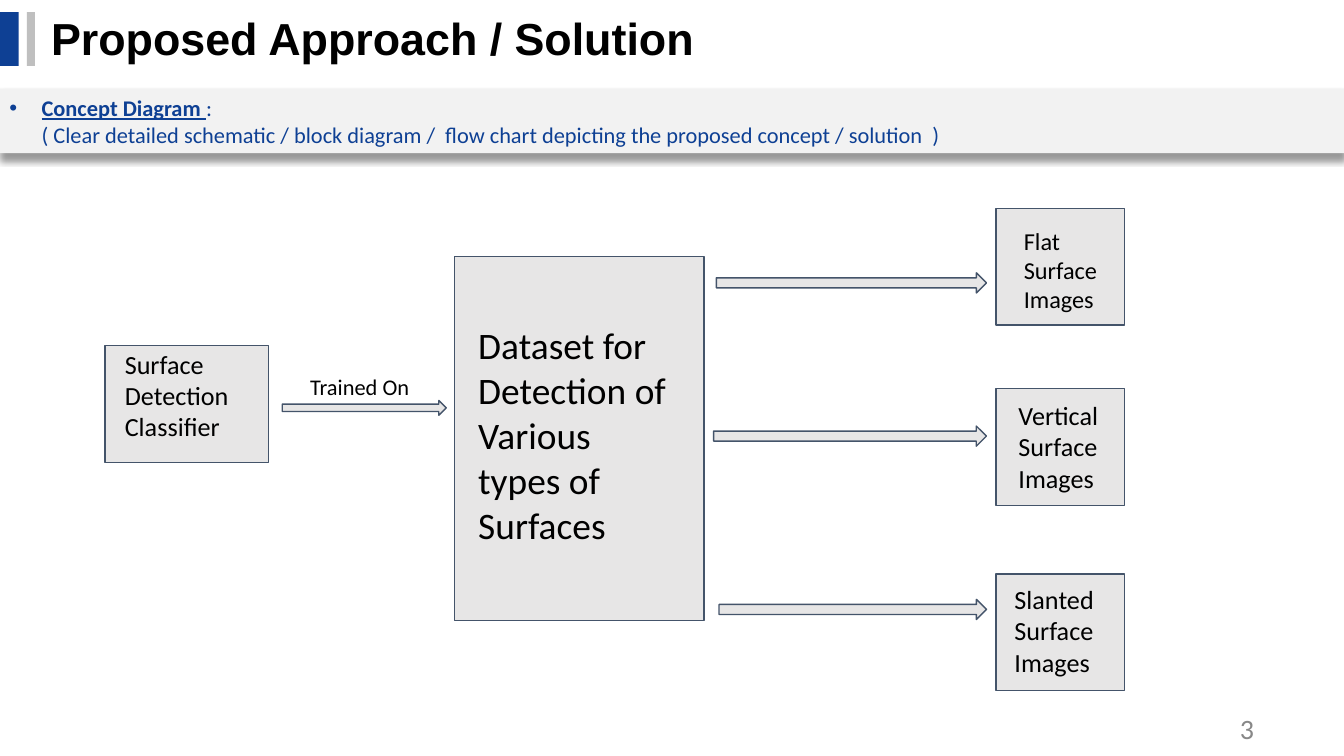
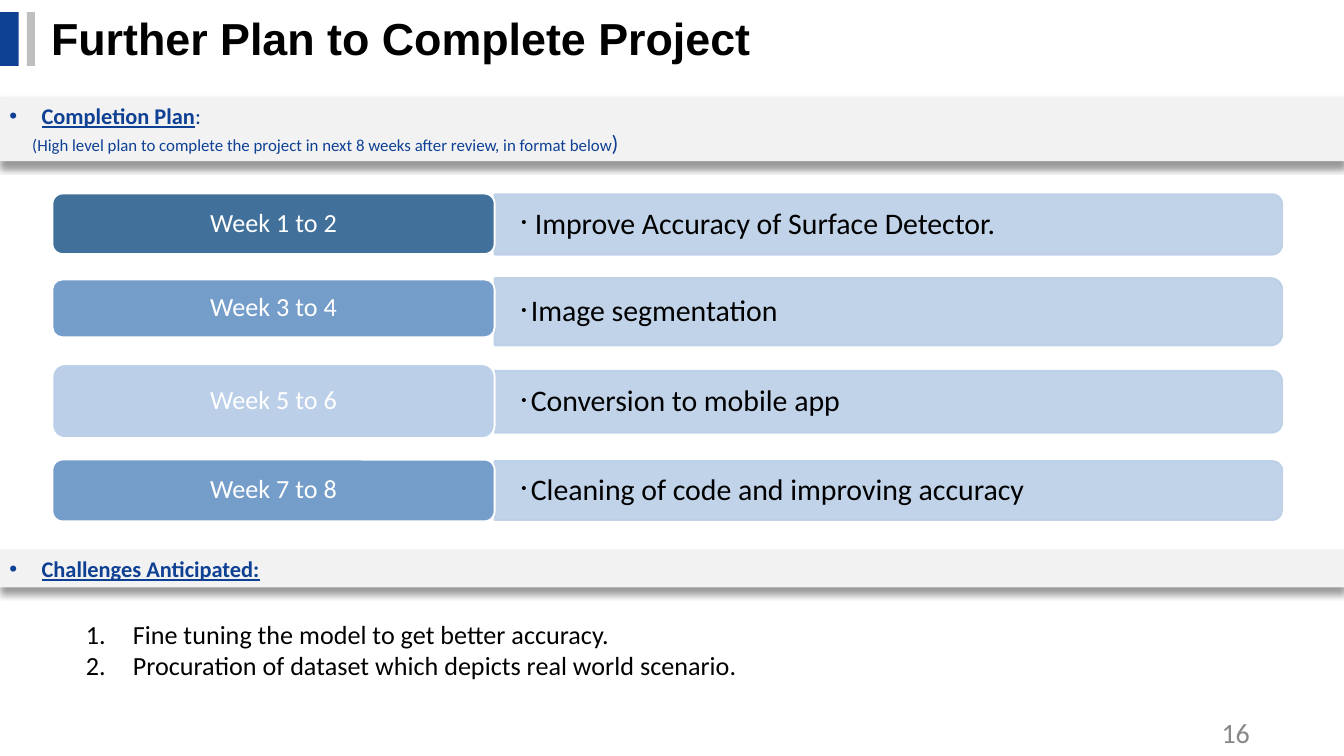
from lxml.etree import SubElement
from pptx import Presentation
from pptx.dml.color import RGBColor
from pptx.enum.shapes import MSO_SHAPE
from pptx.enum.text import MSO_ANCHOR, MSO_AUTO_SIZE, PP_ALIGN
from pptx.oxml.ns import qn
from pptx.util import Inches, Pt

BLUE = RGBColor(0x0E, 0x40, 0x94)
SILVER = RGBColor(0xBF, 0xBF, 0xBF)
BAND = RGBColor(0xF2, 0xF2, 0xF2)
BLACK = RGBColor(0x00, 0x00, 0x00)
WHITE = RGBColor(0xFF, 0xFF, 0xFF)
PAGE_GREY = RGBColor(0x88, 0x88, 0x88)
BOX_FILL = RGBColor(0xE7, 0xE6, 0xE6)
BOX_LINE = RGBColor(0x44, 0x54, 0x6A)
BAR = RGBColor(0xBB, 0xCF, 0xE7)
DARK_WEEK = RGBColor(0x41, 0x70, 0x9B)
MID_WEEK = RGBColor(0x74, 0x9D, 0xCA)
PALE_WEEK = RGBColor(0xBB, 0xCF, 0xE8)

TITLE_FONT = "Arial"
BODY_FONT = "Calibri"
TITLE_ONLY = 5
SLIDE_WIDTH = 10
SLIDE_HEIGHT = SLIDE_WIDTH * 9 / 16
TIGHT = (0.07, 0.04)
ROOMY = (0.1, 0.1)


def set_opacity(sp, percent):
    """Make the solid fill and the line of a shape partly transparent."""
    for color in sp._element.spPr.iter(qn("a:srgbClr")):
        SubElement(color, qn("a:alpha"), val=str(percent * 1000))


def add_shadow(sp):
    effects = sp._element.spPr.find(qn("a:effectLst"))
    shadow = SubElement(effects, qn("a:outerShdw"), blurRad=str(Pt(4)),
                        dist=str(Pt(3)), dir="5400000", algn="t", rotWithShape="0")
    color = SubElement(shadow, qn("a:srgbClr"), val=str(BLACK))
    SubElement(color, qn("a:alpha"), val="40000")


def set_indent(p, left, hanging=0):
    pPr = p._p.get_or_add_pPr()
    pPr.set("marL", str(Inches(left)))
    pPr.set("indent", str(-Inches(hanging)))
    return pPr


def set_bullet(p, left, hanging, color, size=100, numbered=False):
    pPr = set_indent(p, left, hanging)
    bullet_color = SubElement(pPr, qn("a:buClr"))
    SubElement(bullet_color, qn("a:srgbClr"), val=str(color))
    SubElement(pPr, qn("a:buSzPct"), val=str(size * 1000))
    if numbered:
        SubElement(pPr, qn("a:buAutoNum"), type="arabicPeriod")
    else:
        SubElement(pPr, qn("a:buFont"), typeface="Arial")
        SubElement(pPr, qn("a:buChar"), char="•")


class Deck:
    def __init__(self):
        self.prs = Presentation()
        self.prs.slide_width = Inches(SLIDE_WIDTH)
        self.prs.slide_height = Inches(SLIDE_HEIGHT)
        self.s = None

    def run(self, p, text, size, color=BLACK, font=BODY_FONT, bold=False, underline=False):
        r = p.add_run()
        r.text = text
        r.font.name = font
        r.font.size = Pt(size)
        r.font.color.rgb = color
        r.font.bold = bold
        r.font.underline = underline

    def frame(self, sp, insets, anchor=MSO_ANCHOR.TOP):
        """Prepare the text frame of a shape and return it."""
        tf = sp.text_frame
        tf.word_wrap = True
        tf.auto_size = MSO_AUTO_SIZE.NONE
        tf.vertical_anchor = anchor
        tf.margin_left = tf.margin_right = Inches(insets[0])
        tf.margin_top = tf.margin_bottom = Inches(insets[1])
        return tf

    def shape(self, kind, x, y, w, h, fill, line=None, line_width=0.75):
        sp = self.s.shapes.add_shape(kind, Inches(x), Inches(y), Inches(w), Inches(h))
        sp.shadow.inherit = False
        sp.fill.solid()
        sp.fill.fore_color.rgb = fill
        if line is None:
            sp.line.fill.background()
        else:
            sp.line.color.rgb = line
            sp.line.width = Pt(line_width)
        return sp

    def textbox(self, x, y, w, h, insets=ROOMY, anchor=MSO_ANCHOR.TOP):
        sp = self.s.shapes.add_textbox(Inches(x), Inches(y), Inches(w), Inches(h))
        return self.frame(sp, insets, anchor)

    def label(self, x, y, w, h, text, size=14):
        p = self.textbox(x, y, w, h).paragraphs[0]
        self.run(p, text, size)

    def slide(self, title, number, number_x, number_y):
        self.s = self.prs.slides.add_slide(self.prs.slide_layouts[TITLE_ONLY])
        self.shape(MSO_SHAPE.RECTANGLE, 0, 0.09, 0.14, 0.4, BLUE)
        self.shape(MSO_SHAPE.RECTANGLE, 0.2, 0.09, 0.06, 0.4, SILVER)
        sp = self.s.shapes.title
        sp.left, sp.top, sp.width, sp.height = (Inches(v) for v in (0.31, 0.04, 7.71, 0.48))
        p = self.frame(sp, TIGHT, MSO_ANCHOR.MIDDLE).paragraphs[0]
        p.alignment = PP_ALIGN.LEFT
        self.run(p, title, 24, font=TITLE_FONT, bold=True)
        p = self.textbox(number_x, number_y, 2.25, 0.3, TIGHT, MSO_ANCHOR.MIDDLE).paragraphs[0]
        p.alignment = PP_ALIGN.RIGHT
        self.run(p, str(number), 15, PAGE_GREY)

    def band(self, y, h, heading, tail="", hint=(), hint_indent=0.24):
        """Add a full-width heading band; hint is a list of (text, size)."""
        sp = self.shape(MSO_SHAPE.RECTANGLE, 0, y, SLIDE_WIDTH, h, BAND)
        add_shadow(sp)
        tf = self.frame(sp, TIGHT)
        p = tf.paragraphs[0]
        p.alignment = PP_ALIGN.JUSTIFY
        set_bullet(p, 0.24, 0.24, BLUE)
        self.run(p, heading, 12, BLUE, bold=True, underline=True)
        if tail:
            self.run(p, tail, 12, BLUE)
        if hint:
            p = tf.add_paragraph()
            p.alignment = PP_ALIGN.JUSTIFY
            set_indent(p, hint_indent)
            for text, size in hint:
                self.run(p, text, size, BLUE)

    def box(self, x, y, w, h):
        self.shape(MSO_SHAPE.RECTANGLE, x, y, w, h, BOX_FILL, BOX_LINE)

    def arrow(self, x, y, w, h=0.15):
        self.shape(MSO_SHAPE.RIGHT_ARROW, x, y, w, h, BOX_FILL, BOX_LINE)

    def plan_bar(self, middle, h, text, indent):
        """Add a bar rounded on its right side, centred on the height middle."""
        x, w = 3.68, 5.86
        sp = self.shape(MSO_SHAPE.ROUND_2_SAME_RECTANGLE, x + (w - h) / 2, middle - w / 2,
                        h, w, BAR, BAR, 1)
        sp.rotation = 90
        set_opacity(sp, 90)
        p = self.textbox(x, middle - h / 2, w, h, (0.2, 0.1), MSO_ANCHOR.MIDDLE).paragraphs[0]
        p.line_spacing = 0.9
        set_bullet(p, indent, indent, BLACK, size=50)
        self.run(p, text, 16)

    def week(self, y, h, text, fill):
        sp = self.shape(MSO_SHAPE.ROUNDED_RECTANGLE, 0.39, y, 3.29, h, fill, WHITE, 1)
        p = self.frame(sp, (0.06, 0.03), MSO_ANCHOR.MIDDLE).paragraphs[0]
        p.alignment = PP_ALIGN.CENTER
        p.line_spacing = 0.9
        self.run(p, text, 14, WHITE)

    def numbered_list(self, x, y, w, h, items):
        tf = self.textbox(x, y, w, h)
        for i, item in enumerate(items):
            p = tf.add_paragraph() if i else tf.paragraphs[0]
            set_bullet(p, 0.5, 0.35, BLACK, numbered=True)
            self.run(p, item, 14)


def concept_slide(deck):
    deck.slide("Proposed Approach / Solution", 3, 7.15, 5.27)
    deck.band(0.66, 0.48, "Concept Diagram ", ": ", [
        ("( Clear detailed schematic / block diagram /  flow chart depicting "
         "the proposed concept / solution  )", 12)])

    deck.box(0.78, 2.57, 1.22, 0.87)
    deck.label(0.83, 2.49, 1.11, 0.91, "Surface Detection Classifier")
    deck.arrow(2.1, 2.98, 1.22, 0.11)
    deck.label(2.21, 2.68, 0.96, 0.4, "Trained On", 12)
    deck.box(3.38, 1.91, 1.86, 2.71)
    deck.label(3.46, 2.3, 1.71, 1.89, "Dataset for Detection of Various types of Surfaces", 20)

    # surface, text size, box top, label left and top, arrow left and top
    outputs = [
        ("Flat", 13, 1.55, 7.52, 1.58, 5.33, 2.03),
        ("Vertical", 14, 2.89, 7.48, 2.87, 5.31, 3.17),
        ("Slanted", 14, 4.27, 7.45, 4.24, 5.35, 4.46),
    ]
    arrow_tip = 7.34
    for surface, size, box_y, label_x, label_y, arrow_x, arrow_y in outputs:
        deck.box(7.41, box_y, 0.96, 0.87)
        deck.label(label_x, label_y, 0.86, 0.91, f"{surface} Surface Images", size)
        deck.arrow(arrow_x, arrow_y, arrow_tip - arrow_x)


def plan_slide(deck):
    deck.slide("Further Plan to Complete Project", 16, 7.12, 5.3)
    deck.band(0.72, 0.48, "Completion Plan", ": ", [
        ("(High level plan to complete the project in next 8 weeks after review, "
         "in format below", 9), (")", 12)], hint_indent=0.17)

    # weeks, colour, top, height, then the bar's middle, height, text and indent
    plan = [
        ("Week 1 to 2", DARK_WEEK, 1.44, 0.45, 1.67, 0.45,
         "Improve Accuracy of Surface Detector.", 0.1),
        ("Week 3 to 4", MID_WEEK, 2.08, 0.43, 2.32, 0.5, "Image segmentation", 0.07),
        ("Week 5 to 6", PALE_WEEK, 2.71, 0.55, 2.99, 0.46, "Conversion to mobile app", 0.07),
        ("Week 7 to 8", MID_WEEK, 3.42, 0.46, 3.65, 0.44,
         "Cleaning of code and improving accuracy", 0.07),
    ]
    for weeks, color, y, h, bar_middle, bar_h, task, indent in plan:
        deck.plan_bar(bar_middle, bar_h, task, indent)
        deck.week(y, h, weeks, color)

    deck.band(4.09, 0.28, "Challenges Anticipated:")
    deck.numbered_list(0.39, 4.5, 9.15, 0.67, [
        "Fine tuning the model to get better accuracy.",
        "Procuration of dataset which depicts real world scenario.",
    ])


def main():
    deck = Deck()
    concept_slide(deck)
    plan_slide(deck)
    deck.prs.save("out.pptx")


if __name__ == "__main__":
    main()
